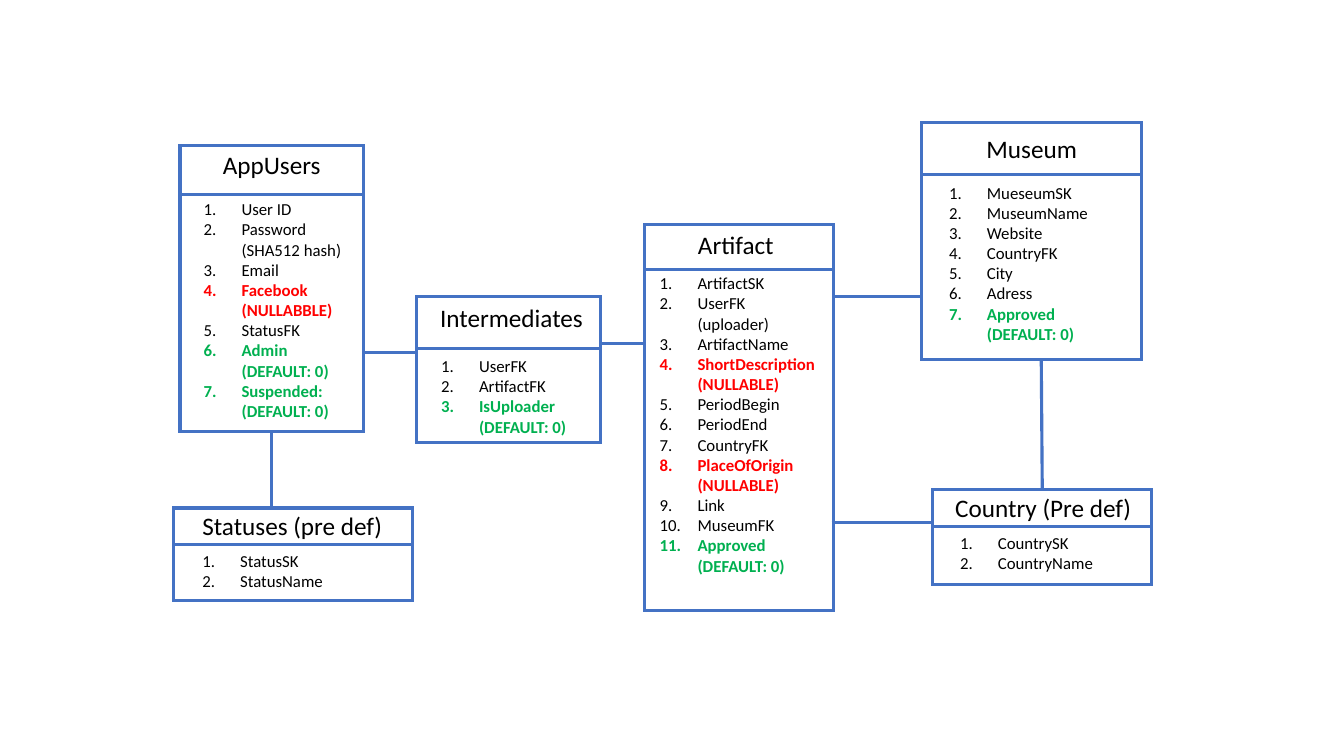
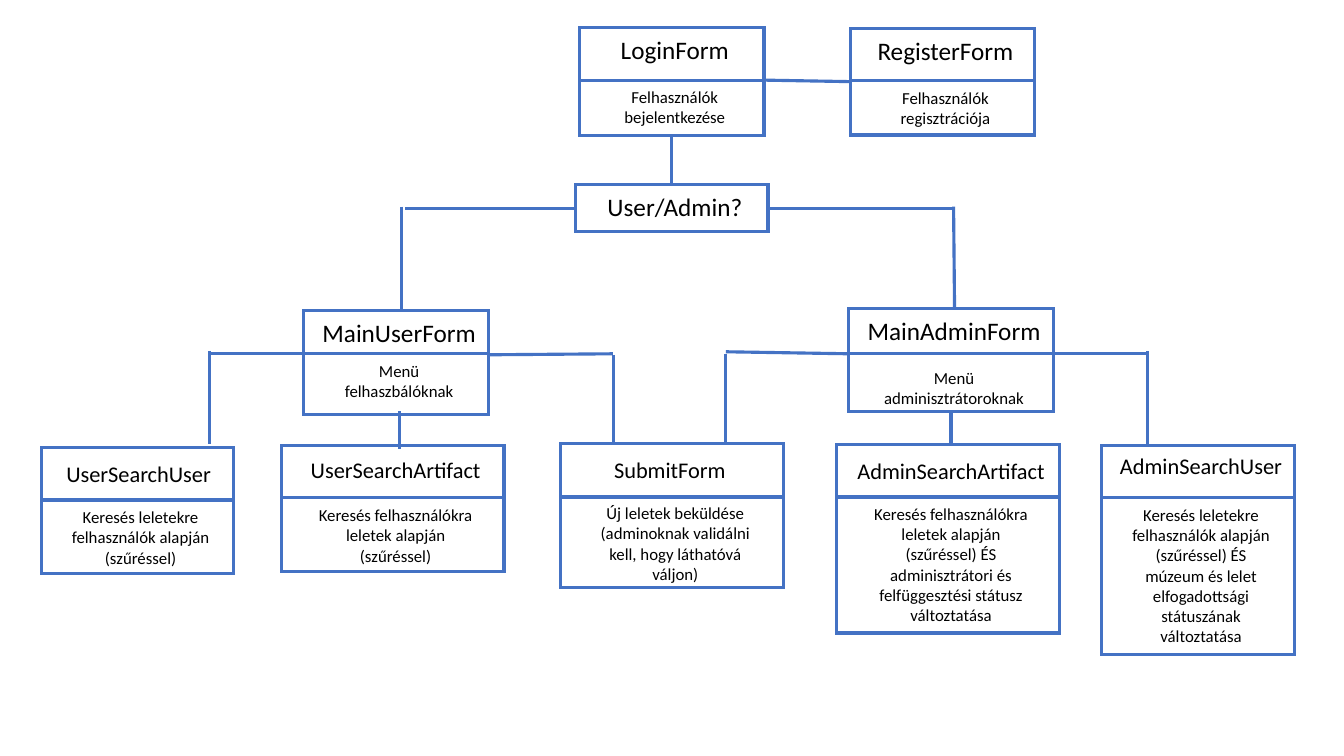
from dataclasses import dataclass

from lxml import etree
from pptx import Presentation
from pptx import util as u
from pptx.dml.color import RGBColor
from pptx.enum import shapes, text
from pptx.oxml.ns import qn

# The slide is a grid of square cells; every length below counts cells.
CELL = u.Inches(0.1)
COLUMNS, ROWS = 133.33, 75
FONT = "Calibri"
COLORS = {
    "paper": "FFFFFF",
    "line": "4472C4",
    "text": "000000",
    "nullable": "FF0000",
    "default": "00B050",
}
LINE_WIDTH = u.Pt(2.25)
BODY_SIZE = 12
NUMBER_INDENT = 3.75
TOP, LEFT, BOTTOM, RIGHT = range(4)


@dataclass
class Card:
    """A framed box: title above a divider, a list or a sentence below it."""
    title: str
    left: float
    top: float
    width: float
    height: float
    divider: float = None
    body: object = None
    title_top: float = 0.2
    title_shift: float = 0.3
    title_size: int = 18
    body_gap: float = 0.2
    body_share: float = 0.87
    body_shift: float = 0.3


ENTITIES = [
    Card("AppUsers", 17.85, 14.4, 18.2, 28.4, 19.3,
         ["User ID", "Password (SHA512 hash)", "Email", "Facebook (NULLABBLE)",
          "StatusFK", "Admin (DEFAULT: 0)", "Suspended: (DEFAULT: 0)"],
         title_top=-0.1, title_shift=0, body_gap=-0.05, body_shift=0.2),
    Card("Artifact", 63.9, 22.3, 18.8, 38.3, 26.7,
         ["ArtifactSK", "UserFK (uploader)", "ArtifactName",
          "ShortDescription (NULLABLE)", "PeriodBegin", "PeriodEnd", "CountryFK",
          "PlaceOfOrigin (NULLABLE)", "Link", "MuseumFK", "Approved (DEFAULT: 0)"],
         title_top=0, title_shift=-0.3, body_gap=-0.1, body_share=0.94, body_shift=0),
    Card("Museum", 91.45, 12.15, 21.8, 23.5, 17.3,
         ["MueseumSK", "MuseumName", "Website", "CountryFK", "City", "Adress",
          "Approved (DEFAULT: 0)"], title_top=0.6, title_shift=0, body_gap=0.3),
    Card("Country (Pre def)", 92.55, 48.6, 21.7, 9.4, 52.25,
         ["CountrySK", "CountryName"], title_top=-0.25, title_shift=0.1, body_gap=0.1),
    Card("Statuses (pre def)", 17.25, 50.4, 23.7, 9.2, 54,
         ["StatusSK", "StatusName"], title_top=-0.25, title_shift=-0.1, body_gap=0.1),
    Card("Intermediates", 41.3, 29.4, 18.3, 14.5, 34.6,
         ["UserFK", "ArtifactFK", "IsUploader (DEFAULT: 0)"], title_top=0.1),
]
# A link end is a point on the grid, or a card title and the side to join.
ENTITY_LINKS = [
    ((36.05, 35), (41.3, 35)),
    ((59.6, 34.1), (64, 34.1)),
    ((82.8, 29.4), (91.5, 29.4)),
    ((82.5, 51.8), (92.6, 51.8)),
    ((103.3, 35.8), ("Country (Pre def)", TOP)),
    (("AppUsers", BOTTOM), (26.95, 50.4)),
]

FORMS = [
    Card("LoginForm", 57.5, 2.75, 18.3, 10.7, 8, "Felhasználók bejelentkezése",
         title_top=0.15, body_gap=0.1),
    Card("RegisterForm", 84.35, 2.8, 18.3, 10.6, 8, "Felhasználók regisztrációja"),
    Card("User/Admin?", 57.1, 18.3, 19.1, 4.7),
    Card("MainUserForm", 30.15, 30.8, 18.3, 10.3, 35.1, "Menü felhaszbálóknak",
         title_top=0.15),
    Card("MainAdminForm", 84.2, 30.6, 20.3, 10.2, 35.1, "Menü adminisztrátoroknak",
         body_gap=0.9),
    Card("UserSearchUser", 4.1, 44.4, 19.1, 12.5, 49.6,
         "Keresés leletekre felhasználók alapján (szűréssel)",
         title_top=0.75, title_shift=0.1, title_size=16),
    Card("UserSearchArtifact", 27.9, 44.2, 22.1, 12.5, 49.4,
         "Keresés felhasználókra leletek alapján (szűréssel)",
         title_top=0.6, title_size=16),
    Card("SubmitForm", 55.6, 44, 22.1, 14.3, 49.3,
         "Új leletek beküldése (adminoknak validálni kell, hogy láthatóvá váljon)",
         title_top=0.8, title_shift=-0.2, title_size=16, body_gap=0.1,
         body_shift=0.35),
    Card("AdminSearchArtifact", 83, 44.1, 22.1, 18.7, 49.3,
         "Keresés felhasználókra leletek alapján (szűréssel) ÉS adminisztrátori "
         "és felfüggesztési státusz változtatása", title_top=0.75, title_size=16),
    Card("AdminSearchUser", 109.3, 44.2, 19.1, 20.7, 49.4,
         "Keresés leletekre felhasználók alapján (szűréssel) ÉS múzeum és lelet "
         "elfogadottsági státuszának változtatása", title_size=16),
]
FORM_LINKS = [
    ((75.8, 7.95), ("RegisterForm", LEFT)),
    (("LoginForm", BOTTOM), ("User/Admin?", TOP)),
    (("User/Admin?", LEFT), (40.2, 20.65)),
    ((39.8, 20.5), (39.8, 30.8)),
    (("User/Admin?", RIGHT), (94.7, 20.65)),
    ((94.6, 20.5), (94.7, 30.6)),
    ((30.1, 35.1), (20.8, 35.1)),
    ((20.8, 34.8), (20.8, 44)),
    ((39.6, 40.8), (39.6, 44.5)),
    ((48.5, 35.2), (60.8, 35.1)),
    ((60.85, 35.2), (60.85, 44)),
    ((84.3, 35.1), (72, 34.9)),
    ((72, 35.1), (72, 43.9)),
    (("MainAdminForm", BOTTOM), (94.35, 44.1)),
    ((104.4, 35.1), (113.8, 35.1)),
    ((113.8, 34.8), (113.8, 44)),
]


def cells(*counts):
    return [round(count * CELL) for count in counts]


def color(name):
    return RGBColor.from_string(COLORS[name])


def style_line(shape):
    """Give the outline its colour, width and sharp corners."""
    shape.line.color.rgb = color("line")
    shape.line.width = LINE_WIDTH
    outline = shape._element.spPr.find(qn("a:ln"))
    etree.SubElement(outline, qn("a:miter"), lim="800000")


def add_line(slide, begin, end):
    connector = slide.shapes.add_connector(
        shapes.MSO_CONNECTOR.STRAIGHT, *cells(*begin, *end))
    style_line(connector)
    etree.SubElement(connector._element.spPr, qn("a:effectLst"))
    return connector


def add_frame(slide, card):
    frame = slide.shapes.add_shape(
        shapes.MSO_SHAPE.RECTANGLE,
        *cells(card.left, card.top, card.width, card.height))
    frame.shadow.inherit = False
    frame.fill.solid()
    frame.fill.fore_color.rgb = color("paper")
    style_line(frame)
    return frame


def add_text(slide, box, lines, size, numbered=False):
    text_frame = slide.shapes.add_textbox(*cells(*box)).text_frame
    text_frame.word_wrap = True
    for index, line in enumerate(lines):
        paragraph = text_frame.paragraphs[0] if index == 0 else text_frame.add_paragraph()
        if numbered:
            number(paragraph)
        else:
            paragraph.alignment = text.PP_ALIGN.CENTER
        add_run(paragraph, line, size)


def number(paragraph):
    indent = cells(NUMBER_INDENT)[0]
    properties = paragraph._p.get_or_add_pPr()
    properties.set("marL", str(indent))
    properties.set("indent", str(-indent))
    etree.SubElement(properties, qn("a:buAutoNum"), type="arabicPeriod")


def add_run(paragraph, words, size):
    """Fields marked as nullable or with a default value stand out."""
    role = ("nullable" if "(NULLAB" in words
            else "default" if "(DEFAULT" in words else "text")
    run = paragraph.add_run()
    run.text = words
    run.font.name = FONT
    run.font.size = u.Pt(size)
    run.font.bold = role != "text"
    run.font.color.rgb = color(role)


def add_card(slide, card):
    """Draw the card and return its frame, for links to join."""
    frame = add_frame(slide, card)
    title_box = (card.left + card.title_shift, card.top + card.title_top, card.width, 4)
    add_text(slide, title_box, [card.title], card.title_size)
    if card.body:
        width = card.width * card.body_share
        left = card.left + (card.width - width) / 2 + card.body_shift
        top = card.divider + card.body_gap
        numbered = isinstance(card.body, list)
        add_text(slide, (left, top, width, card.top + card.height - top),
                 card.body if numbered else [card.body], BODY_SIZE, numbered)
        add_line(slide, (card.left, card.divider),
                 (card.left + card.width, card.divider))
    return frame


def add_link(slide, frames, begin, end):
    joins = [isinstance(place[0], str) for place in (begin, end)]
    points = [(0, 0) if joined else place for joined, place in zip(joins, (begin, end))]
    connector = add_line(slide, *points)
    if joins[0]:
        connector.begin_connect(frames[begin[0]], begin[1])
    if joins[1]:
        connector.end_connect(frames[end[0]], end[1])


def add_diagram(presentation, cards, links):
    slide = presentation.slides.add_slide(
        presentation.slide_layouts.get_by_name("Blank"))
    frames = {card.title: add_card(slide, card) for card in cards}
    for begin, end in links:
        add_link(slide, frames, begin, end)


def main():
    presentation = Presentation()
    presentation.slide_width, presentation.slide_height = cells(COLUMNS, ROWS)
    add_diagram(presentation, ENTITIES, ENTITY_LINKS)
    add_diagram(presentation, FORMS, FORM_LINKS)
    presentation.save("out.pptx")


if __name__ == "__main__":
    main()
